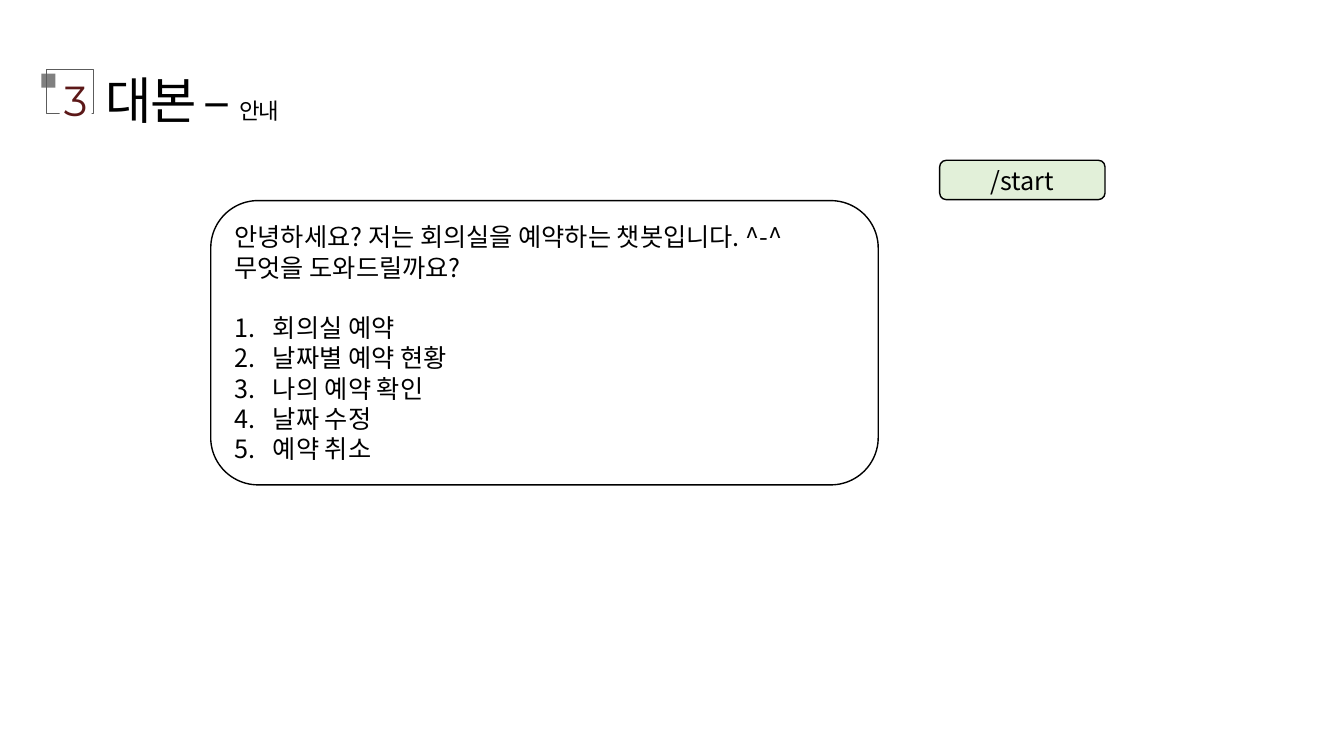
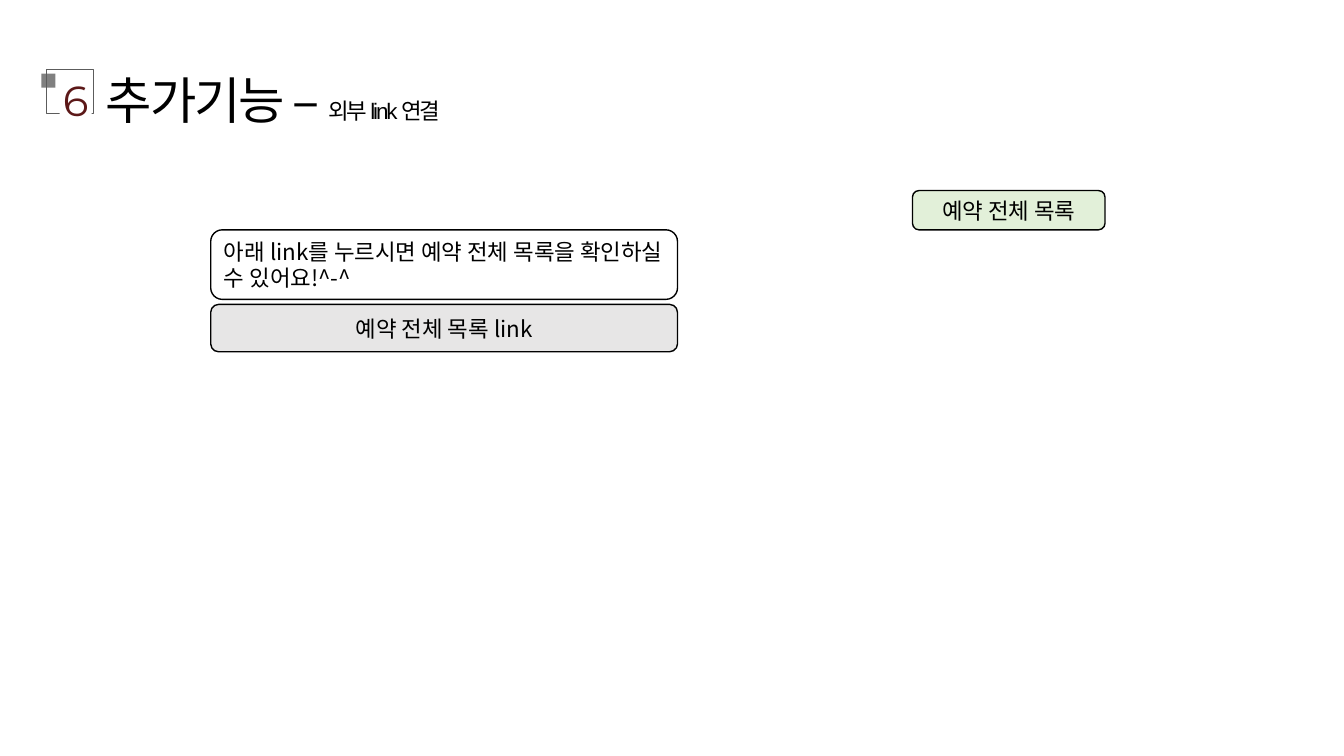
from pptx import Presentation, util as u
from pptx.dml.color import RGBColor
from pptx.enum import shapes, text
from pptx.oxml.ns import qn
from lxml import etree

BLACK = RGBColor(0, 0, 0)
WHITE = RGBColor(255, 255, 255)
GREY = RGBColor(0x80, 0x80, 0x80)
FRAME = RGBColor(0x5C, 0x5C, 0x5C)
WINE = RGBColor(0x5C, 0x18, 0x18)
GREEN = RGBColor(0xE2, 0xF0, 0xD9)
SILVER = RGBColor(0xE7, 0xE6, 0xE6)
HANGUL = "Noto Sans CJK KR"
RECT, ROUND = shapes.MSO_SHAPE.RECTANGLE, shapes.MSO_SHAPE.ROUNDED_RECTANGLE
LEFT, MID = text.PP_ALIGN.LEFT, text.PP_ALIGN.CENTER

# Bubble grid: bot bubbles start at BOT, user bubbles end at USER
BOT, USER, ROW = 2.09, 10.96, 0.39

deck = Presentation()
deck.slide_width, deck.slide_height = u.Inches(13.33), u.Inches(7.5)


def box(slide, kind, at, fill=None, line=None, width=1):
    shape = slide.shapes.add_shape(kind, *map(u.Inches, at))
    shape.shadow.inherit = False
    if fill is None:
        shape.fill.background()
    else:
        shape.fill.solid()
        shape.fill.fore_color.rgb = fill
    if line is None:
        shape.line.fill.background()
    else:
        shape.line.color.rgb = line
        shape.line.width = u.Pt(width)
    return shape


def write(para, words, size, face=HANGUL, color=BLACK):
    run = para.add_run()
    run.text = words
    run.font.size = u.Pt(size)
    run.font.name = face
    run.font.color.rgb = color
    east = etree.SubElement(run.font._element, qn("a:ea"))
    east.set("typeface", HANGUL)
    return run


# Each bubble: left, top, width, height, fill, alignment, size, lines, list items
pages = [
    ("3", "대본 – ", "안내", 1.87, [
        (USER - 1.64, 1.59, 1.64, ROW, GREEN, MID, 18, ["/start"], []),
        (BOT, 1.99, 6.62, 2.82, WHITE, LEFT, 18,
         ["안녕하세요? 저는 회의실을 예약하는 챗봇입니다. ^-^", "무엇을 도와드릴까요?"],
         ["회의실 예약", "날짜별 예약 현황", "나의 예약 확인", "날짜 수정", "예약 취소"]),
    ]),
    ("6", "추가기능 – ", "외부 link 연결", 3.58, [
        (BOT, 2.28, 4.63, 0.69, WHITE, LEFT, 16,
         ["아래 link를 누르시면 예약 전체 목록을 확인하실 수 있어요!^-^"], []),
        (USER - 1.91, 1.89, 1.91, ROW, GREEN, MID, 16, ["예약 전체 목록"], []),
        (BOT, 3.02, 4.63, 0.47, SILVER, MID, 16, ["예약 전체 목록 link"], []),
    ]),
]

for number, head, sub, wide, bubbles in pages:
    slide = deck.slides.add_slide(deck.slide_layouts[5])

    # Number badge
    box(slide, RECT, (0.41, 0.73, 0.14, 0.14), GREY)
    box(slide, RECT, (0.46, 0.69, 0.47, 0.43), None, FRAME, 0.3)
    badge = box(slide, RECT, (0.59, 0.74, 0.32, 0.5), WHITE).text_frame
    badge.margin_left = badge.margin_right = u.Inches(0.02)
    badge.margin_top = badge.margin_bottom = 0
    badge.word_wrap = False
    badge.vertical_anchor = text.MSO_ANCHOR.TOP
    badge.paragraphs[0].alignment = MID
    write(badge.paragraphs[0], number, 30, "Montserrat", WINE)

    # Title
    title = slide.shapes.title
    title.left, title.top = u.Inches(1.05), u.Inches(0.64)
    title.width, title.height = u.Inches(wide), u.Inches(0.61)
    frame = title.text_frame
    frame.margin_left = frame.margin_right = frame.margin_bottom = 0
    frame.margin_top = u.Inches(0.05)
    frame.word_wrap = False
    frame.auto_size = text.MSO_AUTO_SIZE.NONE
    frame.vertical_anchor = text.MSO_ANCHOR.TOP
    para = frame.paragraphs[0]
    para.alignment = LEFT
    para.line_spacing = u.Pt(43)
    for words, size in ((head, 36), (sub, 16)):
        run = write(para, words, size, "Arial")
        run.font._element.set("spc", "-150")

    # Chat bubbles
    for x, y, w, h, fill, align, size, lines, items in bubbles:
        frame = box(slide, ROUND, (x, y, w, h), fill, BLACK).text_frame
        frame.word_wrap = True
        frame.vertical_anchor = text.MSO_ANCHOR.MIDDLE
        for i, words in enumerate(lines + items):
            para = frame.add_paragraph() if i else frame.paragraphs[0]
            para.alignment = align
            para.line_spacing = u.Pt(size * 1.2)
            if i >= len(lines):
                if i == len(lines):
                    para.space_before = u.Pt(size * 1.2)
                props = para._p.get_or_add_pPr()
                props.set("marL", str(u.Inches(0.38)))
                props.set("indent", str(-u.Inches(0.38)))
                font = etree.SubElement(props, qn("a:buFont"))
                font.set("typeface", HANGUL)
                mark = etree.SubElement(props, qn("a:buAutoNum"))
                mark.set("type", "arabicPeriod")
            write(para, words, size)

deck.save("out.pptx")
